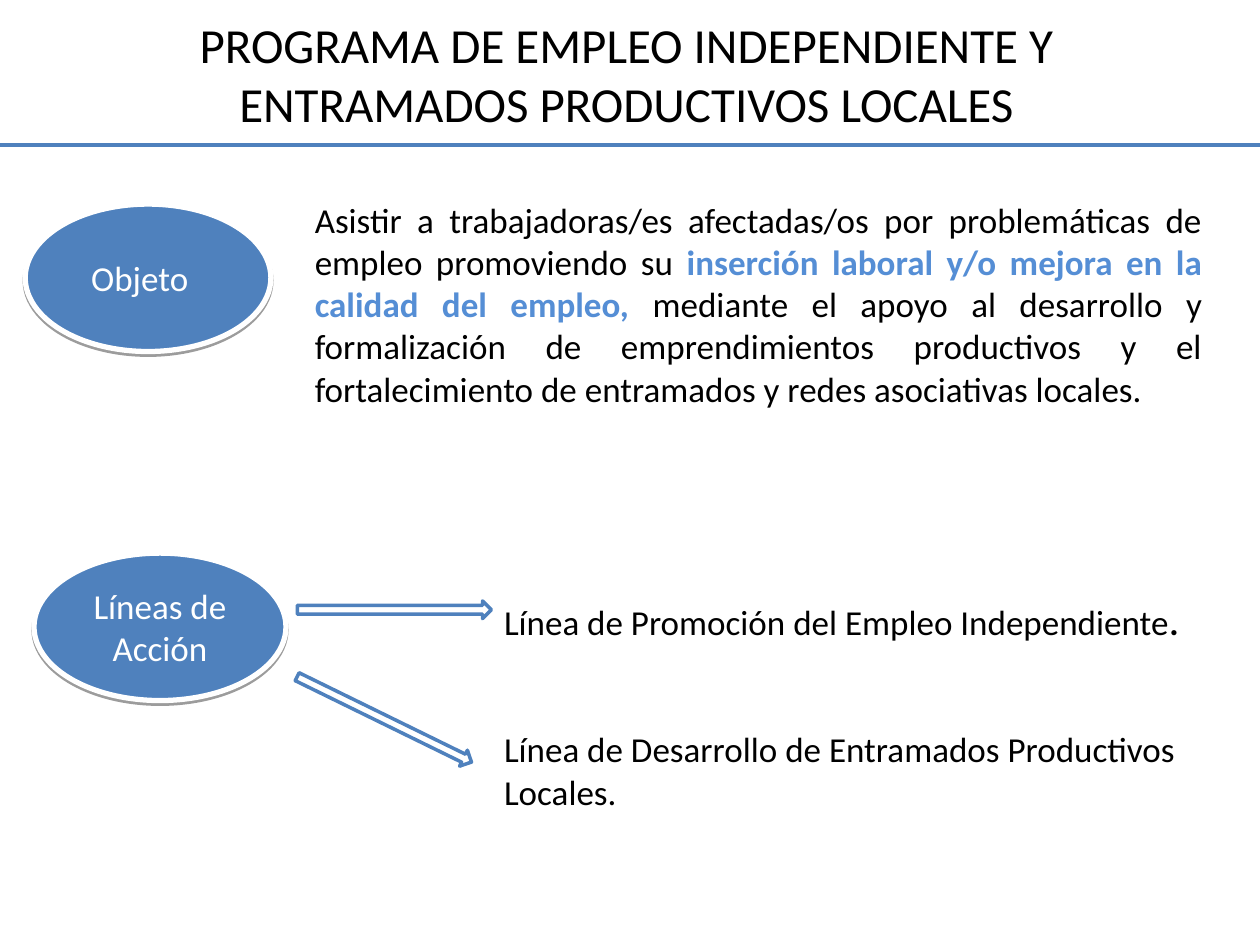
from dataclasses import dataclass
from typing import NamedTuple

from lxml import etree
from pptx import Presentation
from pptx import util as u
from pptx.dml.color import RGBColor
from pptx.enum import shapes, text
from pptx.oxml import ns


@dataclass(frozen=True)
class Theme:
    font: str = "Calibri"
    ink: str = "000000"
    paper: str = "FFFFFF"
    blue: str = "4F81BD"
    light: str = "558ED5"
    head: float = 28
    body: float = 20
    rule: float = 2
    edge: float = 3


class Box(NamedTuple):
    col: float
    row: float
    wide: float
    high: float


class Oval(NamedTuple):
    label: str
    box: Box
    right: float


class Arrow(NamedTuple):
    box: Box
    turn: float


class Part(NamedTuple):
    words: str
    color: str
    bold: bool


LOOK = Theme()
COLS, ROWS = 100, 75
deck = Presentation()
deck.slide_width, deck.slide_height = u.Inches(10), u.Inches(7.5)
COL, ROW = deck.slide_width / COLS, deck.slide_height / ROWS

TITLE = "PROGRAMA DE EMPLEO INDEPENDIENTE Y ENTRAMADOS PRODUCTIVOS LOCALES"
GOAL = [
    Part("Asistir a trabajadoras/es afectadas/os por problemáticas de empleo promoviendo su ",
         LOOK.ink, False),
    Part("inserción laboral y/o mejora en la calidad del empleo, ", LOOK.light, True),
    Part("mediante el apoyo al desarrollo y formalización de emprendimientos productivos "
         "y el fortalecimiento de entramados y redes asociativas locales.", LOOK.ink, False),
]
LINES = [
    [Part("Línea de Promoción del Empleo Independiente", LOOK.ink, False),
     Part(".", LOOK.ink, True)],
    [Part("Línea de Desarrollo de Entramados Productivos Locales.", LOOK.ink, False)],
]
OVALS = [
    Oval("Objeto", Box(2, 16.2, 19.5, 11.7), 2.3),
    Oval("Líneas de Acción", Box(2.7, 43.9, 20, 11.7), 1),
]
ARROWS = [
    Arrow(Box(22.8, 56.4, 15.4, 1.4), 26.1),
    Arrow(Box(23.6, 47.7, 15.4, 1.4), 0),
]


def area(box: Box) -> list[int]:
    return [round(n) for n in
            (box.col * COL, box.row * ROW, box.wide * COL, box.high * ROW)]


def place(shape, box: Box) -> None:
    shape.left, shape.top, shape.width, shape.height = area(box)


def tint(font, color: str, size: float, bold: bool = False) -> None:
    font.name, font.size, font.bold = LOOK.font, u.Pt(size), bold
    font.color.rgb = RGBColor.from_string(color)


def write(para, parts: list[Part]) -> None:
    for part in parts:
        run = para.add_run()
        run.text = part.words
        tint(run.font, part.color, LOOK.body, part.bold)


def paint(shape, fill: str, line: str, width: float) -> None:
    shape.shadow.inherit = False
    shape.fill.solid()
    shape.fill.fore_color.rgb = RGBColor.from_string(fill)
    shape.line.color.rgb = RGBColor.from_string(line)
    shape.line.width = u.Pt(width)


def shade(shape) -> None:
    group = shape._element.spPr.find(ns.qn("a:effectLst"))
    cast = etree.SubElement(group, ns.qn("a:outerShdw"), blurRad="0",
                            dist=str(u.Pt(1.6)), dir="5400000", rotWithShape="0")
    tone = etree.SubElement(cast, ns.qn("a:srgbClr"), val=LOOK.ink)
    etree.SubElement(tone, ns.qn("a:alpha"), val="38000")


def draw_oval(slide, oval: Oval) -> None:
    shape = slide.shapes.add_shape(shapes.MSO_SHAPE.OVAL, *area(oval.box))
    paint(shape, LOOK.blue, LOOK.paper, LOOK.edge)
    shade(shape)
    frame = shape.text_frame
    frame.text = oval.label
    frame.word_wrap = True
    frame.margin_right = round(oval.right * COL)
    frame.vertical_anchor = text.MSO_ANCHOR.MIDDLE
    para = frame.paragraphs[0]
    para.alignment = text.PP_ALIGN.CENTER
    tint(para.runs[0].font, LOOK.paper, LOOK.body)


def draw_arrow(slide, arrow: Arrow) -> None:
    shape = slide.shapes.add_shape(shapes.MSO_SHAPE.RIGHT_ARROW, *area(arrow.box))
    paint(shape, LOOK.paper, LOOK.blue, LOOK.rule)
    shape.rotation = arrow.turn


def draw_title(slide) -> None:
    title = slide.shapes.title
    place(title, Box(4.7, 0, 90, 11.7))
    frame = title.text_frame
    frame.text = TITLE
    frame.auto_size = text.MSO_AUTO_SIZE.NONE
    frame.vertical_anchor = text.MSO_ANCHOR.MIDDLE
    frame.paragraphs[0].alignment = text.PP_ALIGN.CENTER
    tint(frame.paragraphs[0].runs[0].font, LOOK.ink, LOOK.head)


def draw_goal(slide) -> None:
    frame = slide.shapes.add_textbox(*area(Box(24, 15.3, 72.4, 17.7))).text_frame
    frame.word_wrap = True
    para = frame.paragraphs[0]
    para.alignment = text.PP_ALIGN.JUSTIFY
    write(para, GOAL)


def draw_lines(slide) -> None:
    body = slide.placeholders[1]
    place(body, Box(39, 43.8, 57.5, 21.2))
    frame = body.text_frame
    frame.auto_size = text.MSO_AUTO_SIZE.NONE
    frame.vertical_anchor = text.MSO_ANCHOR.TOP
    for i, parts in enumerate(LINES):
        para = frame.add_paragraph() if i else frame.paragraphs[0]
        props = para._p.get_or_add_pPr()
        props.set("marL", "0")
        props.set("indent", "0")
        etree.SubElement(props, ns.qn("a:buNone"))
        para.space_before = u.Pt(49 * i)
        para.line_spacing = 1.0 if i else 2.0
        write(para, parts)


def draw_rule(slide) -> None:
    y = round(11.5 * ROW)
    rule = slide.shapes.add_connector(
        shapes.MSO_CONNECTOR.STRAIGHT, 0, y, deck.slide_width, y)
    rule.line.color.rgb = RGBColor.from_string(LOOK.blue)
    rule.line.width = u.Pt(LOOK.rule)
    etree.SubElement(rule._element.spPr, ns.qn("a:effectLst"))


def main() -> None:
    slide = deck.slides.add_slide(deck.slide_layouts[1])
    draw_title(slide)
    draw_goal(slide)
    draw_lines(slide)
    draw_rule(slide)
    for oval in OVALS:
        draw_oval(slide, oval)
    for arrow in ARROWS:
        draw_arrow(slide, arrow)
    deck.save("out.pptx")


if __name__ == "__main__":
    main()
